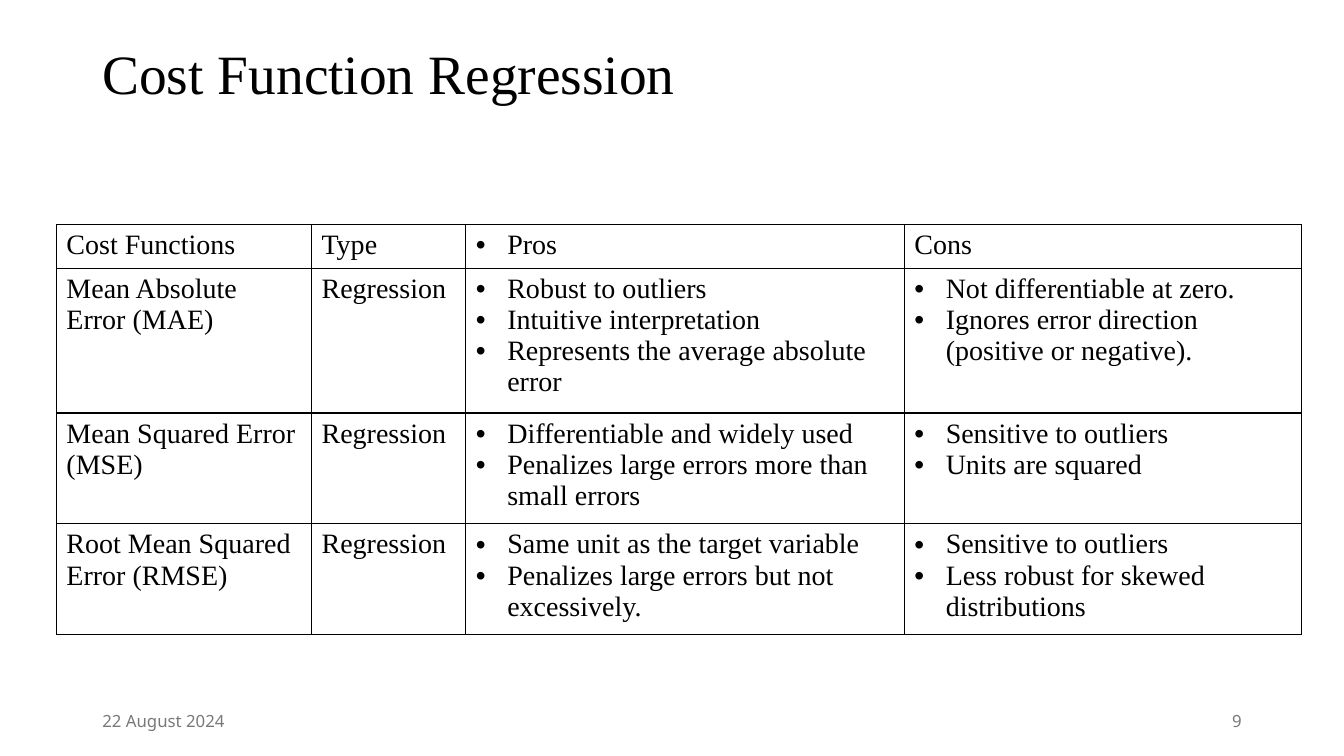
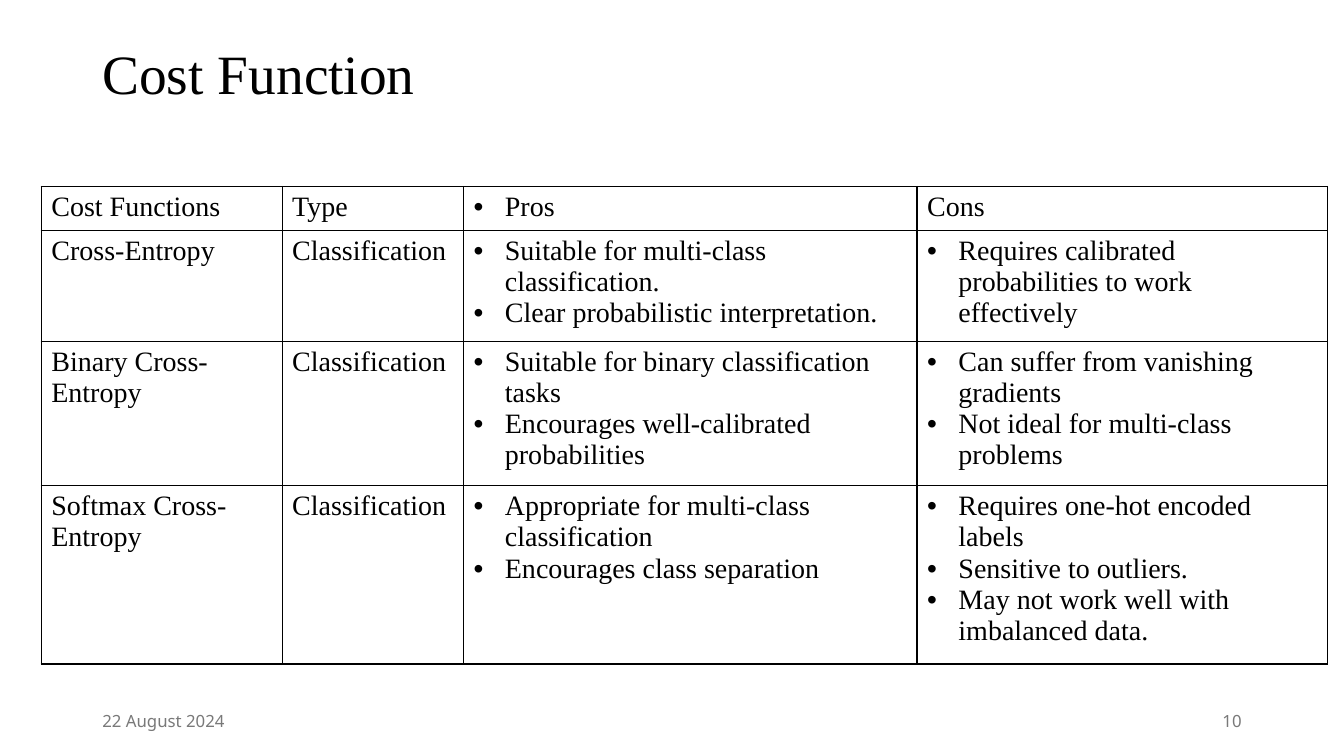
"""Build two slides that compare cost functions in tables."""
from lxml import etree
from pptx import Presentation
from pptx.dml.color import RGBColor
from pptx.enum import text
from pptx.oxml import ns
from pptx.util import Cm, Pt

COLOURS = {"ink": "000000", "footer": "797979"}
SERIF, SANS = "Times New Roman", "Noto Sans"
DATE = "22 August 2024"
HEADER = ["Cost Functions", "Type", ["Pros"], "Cons"]
ROW_HEIGHT = Cm(1.04)
BULLET_INDENT = Cm(0.79)
MARGIN = Cm(2.33)

SLIDES = [
    {
        "title": "Cost Function Regression",
        "number": 9,
        "corner": (1.42, 5.66),
        "columns": [6.43, 3.89, 11.05, 10],
        "rows": [
            ["Mean Absolute Error (MAE)", "Regression",
             ["Robust to outliers", "Intuitive interpretation",
              "Represents the average absolute error"],
             ["Not differentiable at zero.",
              "Ignores error direction (positive or negative)."]],
            ["Mean Squared Error (MSE)", "Regression",
             ["Differentiable and widely used",
              "Penalizes large errors more than small errors"],
             ["Sensitive to outliers", "Units are squared"]],
            ["Root Mean Squared Error (RMSE)", "Regression",
             ["Same unit as the target variable",
              "Penalizes large errors but not excessively."],
             ["Sensitive to outliers", "Less robust for skewed distributions"]],
        ],
    },
    {
        "title": "Cost Function",
        "number": 10,
        "corner": (1.04, 4.7),
        "columns": [6.07, 4.57, 11.43, 10.34],
        "rows": [
            ["Cross-Entropy", "Classification",
             ["Suitable for multi-class classification.",
              "Clear probabilistic interpretation."],
             ["Requires calibrated probabilities to work effectively"]],
            ["Binary Cross-Entropy", "Classification",
             ["Suitable for binary classification tasks",
              "Encourages well-calibrated probabilities"],
             ["Can suffer from vanishing gradients",
              "Not ideal for multi-class problems"]],
            ["Softmax Cross-Entropy", "Classification",
             ["Appropriate for multi-class classification",
              "Encourages class separation"],
             ["Requires one-hot encoded labels", "Sensitive to outliers.",
              "May not work well with imbalanced data."]],
        ],
    },
]


def style(para, face, size, colour):
    para.font.name = face
    para.font.size = Pt(size)
    para.font.color.rgb = RGBColor.from_string(COLOURS[colour])


def add_text(page, words, left, top, width, height, face, size, colour):
    box = page.shapes.add_textbox(left, top, width, height)
    frame = box.text_frame
    frame.word_wrap = True
    frame.vertical_anchor = text.MSO_ANCHOR.MIDDLE
    para = frame.paragraphs[0]
    para.text = words
    style(para, face, size, colour)
    return para


def add_bullet(para):
    props = para._p.get_or_add_pPr()
    props.set("marL", str(BULLET_INDENT))
    props.set("indent", str(-BULLET_INDENT))
    etree.SubElement(props, ns.qn("a:buFont"), typeface="Arial")
    etree.SubElement(props, ns.qn("a:buChar"), char="•")


def add_borders(cell):
    props = cell._tc.get_or_add_tcPr()
    for place, side in enumerate("LRTB"):
        line = etree.Element(ns.qn(f"a:ln{side}"), w=str(Pt(1)))
        fill = etree.SubElement(line, ns.qn("a:solidFill"))
        etree.SubElement(fill, ns.qn("a:srgbClr"), val=COLOURS["ink"])
        props.insert(place, line)


def fill_cell(cell, content):
    bulleted = isinstance(content, list)
    cell.text = "\n".join(content) if bulleted else content
    for para in cell.text_frame.paragraphs:
        if bulleted:
            add_bullet(para)
        style(para, SERIF, 20, "ink")
    cell.fill.background()
    add_borders(cell)


def add_cost_table(page, corner, columns, rows):
    left, top = map(Cm, corner)
    table = page.shapes.add_table(len(rows), len(columns), left, top,
                                  Cm(sum(columns)), ROW_HEIGHT * len(rows)).table
    table.horz_banding = False
    table.first_row = False
    for column, width in zip(table.columns, columns):
        column.width = Cm(width)
    for row, contents in zip(table.rows, rows):
        row.height = ROW_HEIGHT
        for cell, content in zip(row.cells, contents):
            fill_cell(cell, content)


def add_page(deck, content):
    page = deck.slides.add_slide(deck.slide_layouts[6])
    title = add_text(page, content["title"], MARGIN, Cm(1.02), Cm(29.21), Cm(1.83),
                     SERIF, 39.6, "ink")
    title.line_spacing = 0.9
    width = Cm(7.62)
    footers = [(DATE, MARGIN, text.PP_ALIGN.LEFT),
               (str(content["number"]), deck.slide_width - MARGIN - width,
                text.PP_ALIGN.RIGHT)]
    for words, left, alignment in footers:
        footer = add_text(page, words, left, Cm(17.65), width, Cm(1.02),
                          SANS, 12, "footer")
        footer.alignment = alignment
    add_cost_table(page, content["corner"], content["columns"],
                   [HEADER] + content["rows"])


def main():
    deck = Presentation()
    deck.slide_width, deck.slide_height = Cm(33.87), Cm(19.05)
    for content in SLIDES:
        add_page(deck, content)
    deck.save("out.pptx")


if __name__ == "__main__":
    main()
